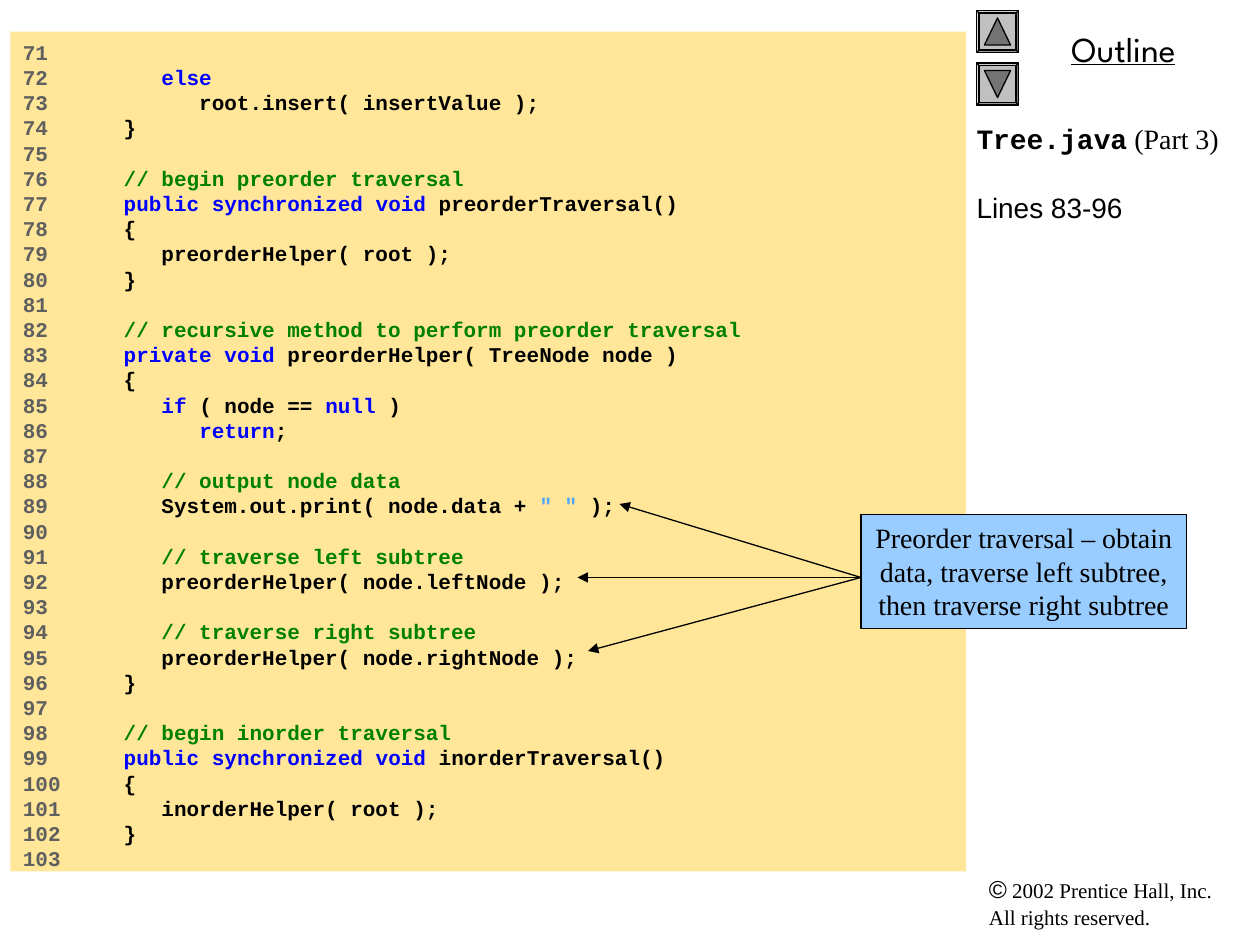
from dataclasses import dataclass
from itertools import groupby
from typing import Iterator, NamedTuple, Optional

from lxml import etree
from pptx import Presentation
from pptx.dml import color
from pptx.enum import shapes, text
from pptx.oxml import ns
from pptx.util import Pt


@dataclass(frozen=True)
class Theme:
    black: str = "000000"
    panel: str = "FFE699"
    number: str = "5F5F5F"
    keyword: str = "0000FF"
    comment: str = "008000"
    literal: str = "4DA6FF"
    callout: str = "99CCFF"
    button: str = "C0C0C0"
    button_mark: str = "737373"
    serif: str = "Times New Roman"
    sans: str = "Arial"
    mono: str = "Courier New"
    display: str = "League Spartan"
    small: float = 12
    symbol: float = 14
    body: float = 16
    heading: float = 20
    line: float = 0.75
    leading: float = 1.2


class Box(NamedTuple):
    left: float
    top: float
    width: float
    height: float

    def lengths(self) -> list:
        return [Pt(value) for value in self]


class Button(NamedTuple):
    top: float
    turn: float


class Arrow(NamedTuple):
    x: float
    y: float


THEME = Theme()
KEYWORDS = {"else", "public", "private", "synchronized", "void", "if", "null", "return"}
FIRST_LINE = 71
NUMBER_COLUMNS = 8
CODE = """
   else
      root.insert( insertValue );
}

// begin preorder traversal
public synchronized void preorderTraversal()
{
   preorderHelper( root );
}

// recursive method to perform preorder traversal
private void preorderHelper( TreeNode node )
{
   if ( node == null )
      return;

   // output node data
   System.out.print( node.data + " " );

   // traverse left subtree
   preorderHelper( node.leftNode );

   // traverse right subtree
   preorderHelper( node.rightNode );
}

// begin inorder traversal
public synchronized void inorderTraversal()
{
   inorderHelper( root );
}
"""
BUTTONS = [Button(6, 0), Button(36, 180)]
ARROW_START = Arrow(492, 330)
ARROW_ENDS = [Arrow(354, 288), Arrow(336, 372), Arrow(330, 330)]


def rgb(value: str) -> color.RGBColor:
    return color.RGBColor.from_string(value)


def style(font, name: str, size: float, ink: Optional[str] = THEME.black, bold: bool = False) -> None:
    font.name, font.size, font.bold = name, Pt(size), bold
    if ink:
        font.color.rgb = rgb(ink)


def add_run(paragraph, words: str):
    run = paragraph.add_run()
    run.text = words
    return run


def add_block(slide, preset, box: Box, fill: str, line: Optional[str] = None):
    block = slide.shapes.add_shape(preset, *box.lengths())
    block.shadow.inherit = False
    block.fill.solid()
    block.fill.fore_color.rgb = rgb(fill)
    if line:
        block.line.color.rgb = rgb(line)
        block.line.width = Pt(THEME.line)
    else:
        block.line.fill.background()
    return block


def set_frame(shape, align=text.PP_ALIGN.LEFT, left: float = 7.2):
    """Wrap the text from the top and return the first paragraph."""
    frame = shape.text_frame
    frame.word_wrap = True
    frame.vertical_anchor = text.MSO_ANCHOR.TOP
    frame.margin_left = Pt(left)
    frame.paragraphs[0].alignment = align
    return frame.paragraphs[0]


def add_text(slide, box: Box, align=text.PP_ALIGN.LEFT, left: float = 7.2):
    return set_frame(slide.shapes.add_textbox(*box.lengths()), align, left)


def colour_characters(line: str) -> Iterator[tuple[str, str]]:
    """Yield each character of a code line with its syntax colour."""
    if line.lstrip().startswith("//"):
        yield from ((char, THEME.comment) for char in line)
        return
    for index, piece in enumerate(line.split('"')):
        if index % 2:
            yield from ((char, THEME.literal) for char in f'"{piece}"')
            continue
        for _, group in groupby(piece, str.isalnum):
            word = "".join(group)
            ink = THEME.keyword if word in KEYWORDS else THEME.black
            yield from ((char, ink) for char in word)


def add_code(slide) -> None:
    panel = add_block(slide, shapes.MSO_SHAPE.RECTANGLE, Box(6, 18, 546, 480), THEME.panel)
    paragraph = set_frame(panel)
    panel.text_frame.margin_top = Pt(4.5)
    for number, line in enumerate(CODE.split("\n"), FIRST_LINE):
        if number > FIRST_LINE:
            paragraph = panel.text_frame.add_paragraph()
            paragraph.alignment = text.PP_ALIGN.LEFT
        paragraph.line_spacing = Pt(THEME.small * THEME.leading)
        style(paragraph.font, THEME.mono, THEME.small, None, bold=True)
        label = f"{number:<{NUMBER_COLUMNS}}" if line else str(number)
        add_run(paragraph, label).font.color.rgb = rgb(THEME.number)
        for ink, group in groupby(colour_characters(line), lambda pair: pair[1]):
            words = "".join(char for char, _ in group)
            add_run(paragraph, words).font.color.rgb = rgb(ink)


def add_button(slide, button: Button) -> None:
    frame = add_block(slide, shapes.MSO_SHAPE.BEVEL, Box(558, button.top, 24, 24), THEME.button, THEME.black)
    frame.adjustments[0] = 0.06
    mark = add_block(slide, shapes.MSO_SHAPE.ISOSCELES_TRIANGLE, Box(562.5, button.top + 4.25, 15, 15.5),
                     THEME.button_mark, THEME.black)
    mark.rotation = button.turn


def add_arrow(slide, start: Arrow, end: Arrow) -> None:
    arrow = slide.shapes.add_connector(shapes.MSO_CONNECTOR.STRAIGHT, *map(Pt, (*start, *end)))
    arrow.line.color.rgb = rgb(THEME.black)
    arrow.line.width = Pt(THEME.line)
    etree.SubElement(arrow.line._get_or_add_ln(), ns.qn("a:tailEnd"), type="triangle")
    etree.SubElement(arrow._element.spPr, ns.qn("a:effectLst"))


def add_sidebar(slide) -> None:
    copyright_line = add_text(slide, Box(558, 498, 156, 39))
    copyright_line.line_spacing = Pt(14.9)
    style(copyright_line.font, THEME.serif, THEME.small)
    style(add_run(copyright_line, "©").font, THEME.sans, THEME.symbol)
    add_run(copyright_line, " 2002 Prentice Hall, Inc.")
    copyright_line.add_line_break()
    add_run(copyright_line, "All rights reserved.")

    outline = add_text(slide, Box(564, 12, 156, 32), text.PP_ALIGN.CENTER)
    style(outline.font, THEME.display, THEME.heading)
    outline.font.underline = True
    add_run(outline, "Outline")

    for button in BUTTONS:
        add_button(slide, button)

    title_box = slide.shapes.add_textbox(*Box(558, 66, 162, 432).lengths())
    title = set_frame(title_box, left=0)
    style(add_run(title, "Tree.java").font, THEME.mono, THEME.body, bold=True)
    style(add_run(title, " (Part 3)").font, THEME.serif, THEME.body)
    lines = title_box.text_frame.add_paragraph()
    lines.space_before = Pt(20)
    style(lines.font, THEME.sans, THEME.body)
    add_run(lines, "Lines 83-96")


def add_callout(slide) -> None:
    callout = add_block(slide, shapes.MSO_SHAPE.RECTANGLE, Box(492, 294, 186, 65), THEME.callout, THEME.black)
    remark = set_frame(callout, text.PP_ALIGN.CENTER)
    remark.line_spacing = Pt(THEME.body * THEME.leading)
    style(remark.font, THEME.serif, THEME.body)
    add_run(remark, "Preorder traversal – obtain data, traverse left subtree, then traverse right subtree")
    for end in ARROW_ENDS:
        add_arrow(slide, ARROW_START, end)


def main() -> None:
    deck = Presentation()
    deck.slide_width, deck.slide_height = Pt(720), Pt(540)
    slide = deck.slides.add_slide(deck.slide_layouts[6])
    add_sidebar(slide)
    add_code(slide)
    add_callout(slide)
    deck.save("out.pptx")


if __name__ == "__main__":
    main()
